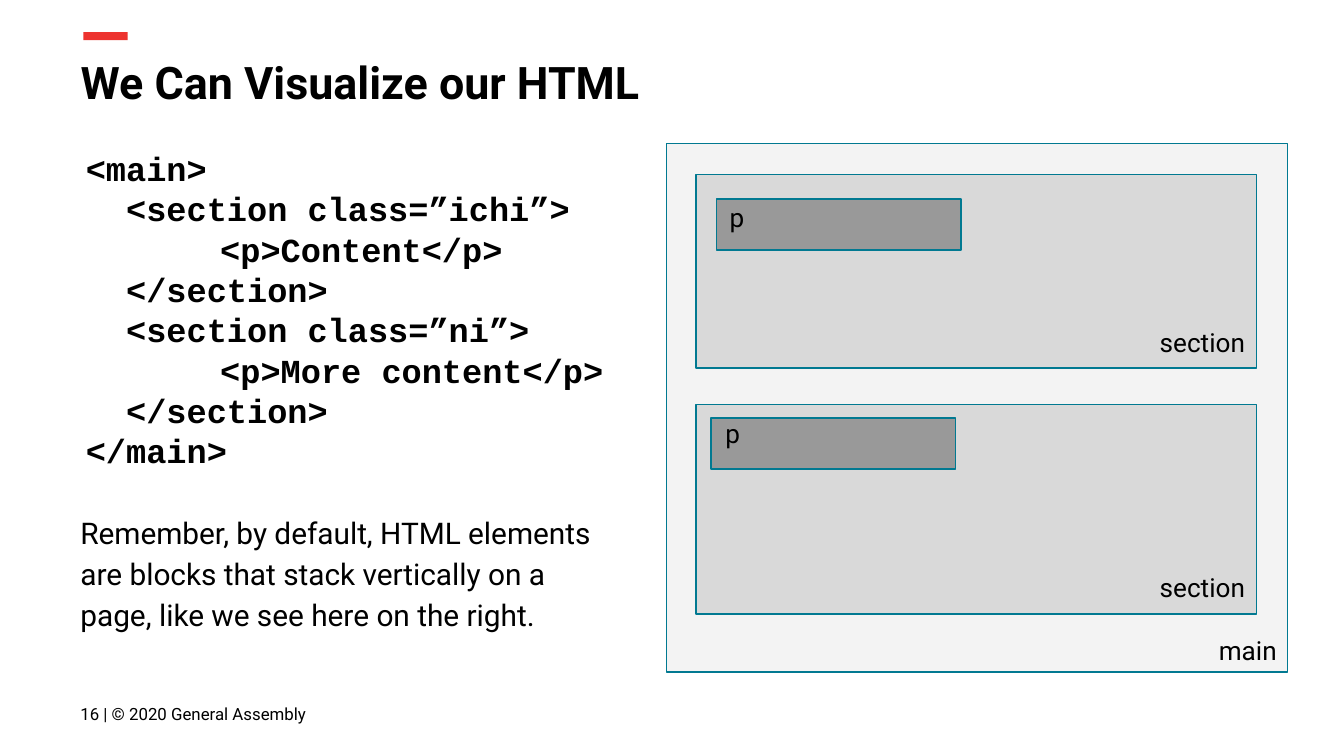
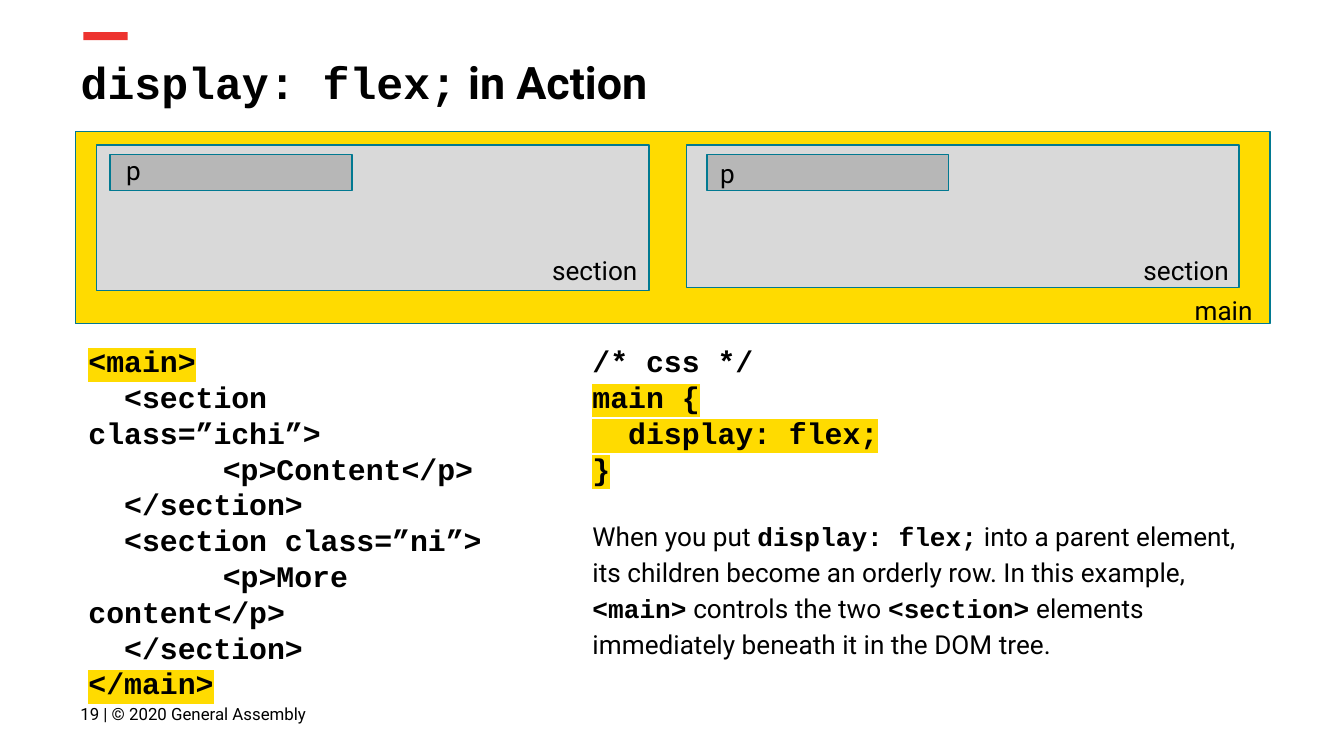
from dataclasses import dataclass

from lxml import etree
from pptx import Presentation
from pptx.dml.color import RGBColor
from pptx.enum.shapes import MSO_SHAPE
from pptx.enum.text import MSO_ANCHOR, MSO_AUTO_SIZE, PP_ALIGN
from pptx.oxml.ns import qn
from pptx.util import Pt

RECTANGLE = MSO_SHAPE.RECTANGLE
TOP, MIDDLE = MSO_ANCHOR.TOP, MSO_ANCHOR.MIDDLE
NO_FIT = MSO_AUTO_SIZE.NONE
LEFT = PP_ALIGN.LEFT

BLACK = RGBColor(0x00, 0x00, 0x00)
RED = RGBColor(0xED, 0x33, 0x2F)
TEAL = RGBColor(0x01, 0x79, 0x91)
YELLOW = RGBColor(0xFF, 0xDB, 0x00)
PALE = RGBColor(0xF3, 0xF3, 0xF3)
LIGHT = RGBColor(0xD9, 0xD9, 0xD9)
MEDIUM = RGBColor(0xB7, 0xB7, 0xB7)
DARK = RGBColor(0x99, 0x99, 0x99)

PX = 9144
PAGE_WIDTH = 1000 * PX
PAGE_HEIGHT = PAGE_WIDTH * 9 // 16
INSET = 10 * PX
TAB_STOP = 100 * PX
TITLE_ONLY = 5


@dataclass
class Style:
    font: str
    bold: bool = False
    highlight: RGBColor = None


BODY = Style("Roboto")
HEADING = Style("Roboto", True)
CODE = Style("Courier New", True)
MARKED = Style("Courier New", True, YELLOW)

HTML_LINES = [
    "<main>",
    "  <section class=”ichi”>",
    "\t<p>Content</p>",
    "  </section>",
    "  <section class=”ni”>",
    "\t<p>More content</p>",
    "  </section>",
    "</main>",
]
CSS_LINES = ["/* css */", "main {", "  display: flex;", "}"]


class Slides:
    def __init__(self, deck):
        self.deck = deck
        self.page = None

    def start(self, number, title):
        layout = self.deck.slide_layouts[TITLE_ONLY]
        self.page = self.deck.slides.add_slide(layout)
        self.block((62, 24, 33, 6), RED, outlined=False)
        box = self.page.shapes.title
        box.left, box.top, box.width, box.height = self.scale((50, 31, 932, 63))
        self.fill_text(box, [title], 24)
        self.text((50, 510, 259, 43), [[(f"{number} | © 2020 General Assembly", BODY)]], 9, anchor=MIDDLE)

    def scale(self, area):
        return [length * PX for length in area]

    def block(self, area, color, outlined=True):
        shape = self.page.shapes.add_shape(RECTANGLE, *self.scale(area))
        shape.shadow.inherit = False
        shape.fill.solid()
        shape.fill.fore_color.rgb = color
        if outlined:
            shape.line.color.rgb = TEAL
            shape.line.width = Pt(0.75)
        else:
            shape.line.fill.background()

    def text(self, area, lines, size, spacing=None, anchor=TOP):
        box = self.page.shapes.add_textbox(*self.scale(area))
        self.fill_text(box, lines, size, spacing, anchor)

    def label(self, text, area, spacing=None):
        self.text(area, [[(text, BODY)]], 14, spacing)

    def code(self, area, lines, size, marked=()):
        styled = [[(line, MARKED if line in marked else CODE)] for line in lines]
        self.text(area, styled, size)

    def fill_text(self, box, lines, size, spacing=None, anchor=TOP):
        frame = box.text_frame
        frame.word_wrap = True
        frame.auto_size = NO_FIT
        frame.vertical_anchor = anchor
        frame.margin_left = frame.margin_right = INSET
        frame.margin_top = frame.margin_bottom = INSET
        for index, spans in enumerate(lines):
            para = frame.add_paragraph() if index else frame.paragraphs[0]
            para.alignment = LEFT
            if spacing:
                para.line_spacing = spacing
            if any("\t" in text for text, style in spans):
                self.add_tab(para)
            for text, style in spans:
                span = para.add_run()
                span.text = text
                self.format(span, style, size)

    def add_tab(self, para):
        tabs = etree.SubElement(para._p.get_or_add_pPr(), qn("a:tabLst"))
        etree.SubElement(tabs, qn("a:tab"), pos=str(TAB_STOP), algn="l")

    def format(self, span, style, size):
        span.font.size = Pt(size)
        span.font.bold = style.bold
        span.font.color.rgb = BLACK
        if style.highlight is not None:
            mark = etree.SubElement(span._r.get_or_add_rPr(), qn("a:highlight"))
            etree.SubElement(mark, qn("a:srgbClr"), val=str(style.highlight))
        span.font.name = style.font


def add_stacked_page(slides):
    slides.start(16, [("We Can Visualize our HTML", HEADING)])
    slides.code((54, 100, 431, 269), HTML_LINES, 18)
    slides.block((496, 107, 462, 393), PALE)
    for top, height in ((130, 144), (301, 156)):
        slides.block((518, top, 417, height), LIGHT)
    for left, top in ((533, 148), (529, 311)):
        slides.block((left, top, 182, 38), DARK)
    slides.label("main", (897, 462, 67, 33))
    for top in (415, 233):
        slides.label("section", (853, top, 89, 33))
    for left, top, width in ((533, 150, 25), (530, 311, 30)):
        slides.label("p", (left, top, width, 33), 0.5)
    reminder = (
        "Remember, by default, HTML elements are blocks that stack "
        "vertically on a page, like we see here on the right."
    )
    slides.text((50, 369, 417, 68), [[(reminder, BODY)]], 16, 1.15)


def add_flex_page(slides):
    slides.start(19, [("display: flex;", CODE), (" in Action", HEADING)])
    slides.block((56, 98, 889, 143), YELLOW)
    for left, height in ((511, 106), (72, 108)):
        slides.block((left, 108, 411, height), LIGHT)
    for left in (526, 82):
        slides.block((left, 115, 180, 27), MEDIUM)
    slides.label("main", (879, 209, 66, 23))
    for left in (401, 841):
        slides.label("section", (left, 179, 87, 23))
    for left, top, width in ((526, 117, 24), (84, 115, 30)):
        slides.label("p", (left, top, width, 23), 0.5)
    slides.code((431, 245, 315, 129), CSS_LINES, 16, CSS_LINES[1:])
    slides.code((56, 245, 315, 265), HTML_LINES, 16, ("<main>", "</main>"))
    explanation = [
        ("When you put ", BODY),
        ("display: flex;", CODE),
        (" into a parent element, its children become an orderly row. In this example, ", BODY),
        ("<main>", CODE),
        (" controls the two ", BODY),
        ("<section>", CODE),
        (" elements immediately beneath it in the DOM tree.", BODY),
    ]
    slides.text((431, 374, 501, 110), [explanation], 14, 1.15)


def main():
    deck = Presentation()
    deck.slide_width = PAGE_WIDTH
    deck.slide_height = PAGE_HEIGHT
    slides = Slides(deck)
    add_stacked_page(slides)
    add_flex_page(slides)
    deck.save("out.pptx")


if __name__ == "__main__":
    main()
